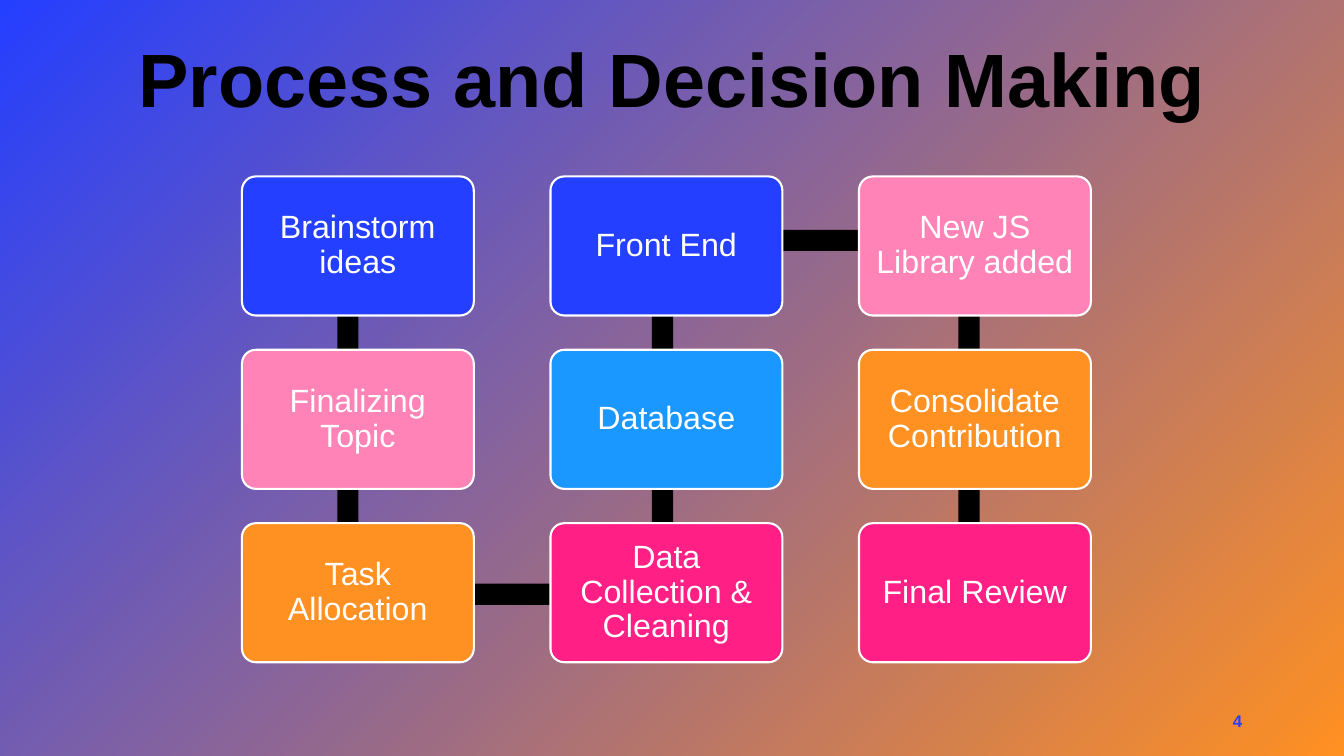
from dataclasses import dataclass
from itertools import cycle

from pptx import Presentation
from pptx.dml.color import RGBColor
from pptx.enum.shapes import MSO_SHAPE as SHAPE
from pptx.enum.text import MSO_ANCHOR as ANCHOR, MSO_AUTO_SIZE as AUTOSIZE, PP_ALIGN as ALIGN
from pptx.util import Inches, Pt


@dataclass(frozen=True)
class Theme:
    """Colours, font and type sizes of the slide."""
    font: str = "Arial"
    blue: str = "243FFF"
    pink: str = "FF83B6"
    orange: str = "FF9022"
    magenta: str = "FF1F85"
    sky: str = "1A98FF"
    black: str = "000000"
    white: str = "FFFFFF"
    title: int = 54
    step: int = 23
    number: int = 12


T = Theme()
STEPS = [
    "Brainstorm ideas", "Finalizing Topic", "Task Allocation",
    "Data Collection & Cleaning", "Database", "Front End",
    "New JS Library added", "Consolidate Contribution", "Final Review",
]
STEP_COLORS = [T.blue, T.pink, T.orange, T.magenta, T.sky]
ROWS = 3
GRID_LEFT, GRID_TOP = 2.4, 1.75
BOX_W, BOX_H = 2.3, 1.38
PITCH_X, PITCH_Y = 3.06, 1.72
BAR = 0.21
DOWN_BARS = [(2.59, 2.91), (2.59, 4.5), (5.71, 4.57), (5.71, 2.79), (8.75, 2.91), (8.75, 4.5)]
ACROSS_BARS = [(2.87, 5.79), (5.91, 2.28)]


def rgb(color):
    """Return a colour object for a hex string."""
    return RGBColor.from_string(color)


def write(sp, text, size, color, bold=False, align=ALIGN.CENTER, anchor=ANCHOR.MIDDLE,
          inset=(0.1, 0.05), spacing=1.0):
    """Put one formatted paragraph into a shape."""
    tf = sp.text_frame
    tf.word_wrap = True
    tf.auto_size = AUTOSIZE.NONE
    tf.vertical_anchor = anchor
    tf.margin_left = tf.margin_right = Inches(inset[0])
    tf.margin_top = tf.margin_bottom = Inches(inset[1])
    p = tf.paragraphs[0]
    p.alignment = align
    p.line_spacing = spacing
    p.space_before = Pt(0)
    r = p.add_run()
    r.text = text
    r.font.name = T.font
    r.font.size = Pt(size)
    r.font.bold = bold
    r.font.color.rgb = rgb(color)


def add_background(s):
    """Fill the slide with a diagonal blue to orange gradient."""
    fill = s.background.fill
    fill.gradient()
    fill.gradient_angle = 315
    for stop, position, color in zip(fill.gradient_stops, (0, 1), (T.blue, T.orange)):
        stop.position = position
        stop.color.rgb = rgb(color)


def add_title(s, text):
    """Move and format the title placeholder."""
    sp = s.shapes.title
    sp.left, sp.top, sp.width, sp.height = map(Inches, (0, 0.27, 13.33, 1.01))
    write(sp, text, T.title, T.black, bold=True, anchor=ANCHOR.TOP)


def add_bar(s, left, top, length, rotation=0):
    """Add a black bar that links two steps."""
    sp = s.shapes.add_shape(SHAPE.RECTANGLE, *map(Inches, (left, top, length, BAR)))
    sp.rotation = rotation
    sp.shadow.inherit = False
    sp.fill.solid()
    sp.fill.fore_color.rgb = rgb(T.black)
    sp.line.fill.background()


def add_step(s, left, top, text, color):
    """Add a rounded box with the name of a step."""
    sp = s.shapes.add_shape(SHAPE.ROUNDED_RECTANGLE, *map(Inches, (left, top, BOX_W, BOX_H)))
    sp.adjustments[0] = 0.1
    sp.shadow.inherit = False
    sp.fill.solid()
    sp.fill.fore_color.rgb = rgb(color)
    sp.line.color.rgb = rgb(T.white)
    sp.line.width = Pt(1.5)
    write(sp, text, T.step, T.white, inset=(0.12, 0.1), spacing=0.9)


def add_steps(s):
    """Lay the steps out in columns that run down, up and down."""
    for i, (text, color) in enumerate(zip(STEPS, cycle(STEP_COLORS))):
        col, row = divmod(i, ROWS)
        if col % 2:
            row = ROWS - 1 - row
        add_step(s, GRID_LEFT + col * PITCH_X, GRID_TOP + row * PITCH_Y, text, color)


def add_number(s, text):
    """Add the slide number."""
    sp = s.shapes.add_textbox(*map(Inches, (9.42, 6.95, 3, 0.4)))
    write(sp, text, T.number, T.blue, bold=True, align=ALIGN.RIGHT)


def main():
    """Build and save the slide."""
    prs = Presentation()
    prs.slide_width, prs.slide_height = Inches(13.33), Inches(7.5)
    s = prs.slides.add_slide(prs.slide_layouts[5])
    add_background(s)
    add_title(s, "Process and Decision Making")
    for left, top in DOWN_BARS:
        add_bar(s, left, top, PITCH_Y, rotation=90)
    for left, top in ACROSS_BARS:
        add_bar(s, left, top, 3.05)
    add_steps(s)
    add_number(s, "4")
    prs.save("out.pptx")


if __name__ == "__main__":
    main()
